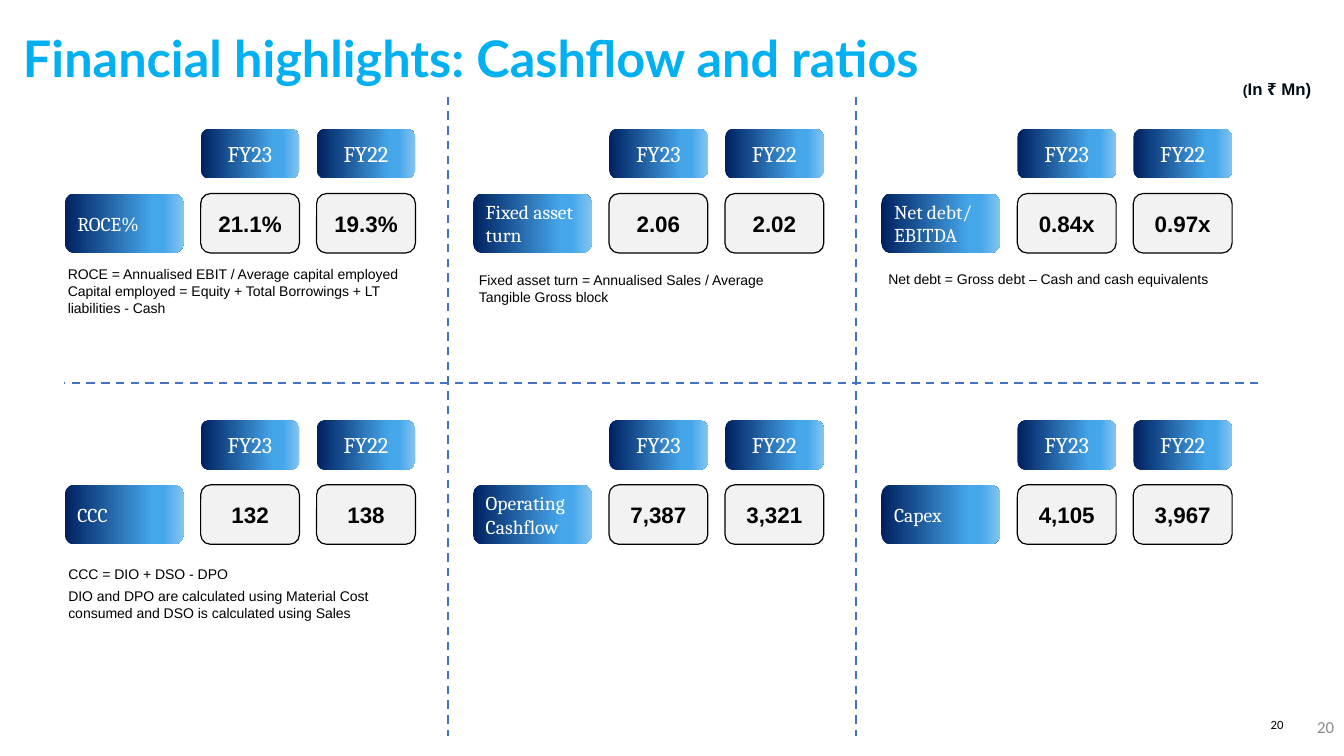
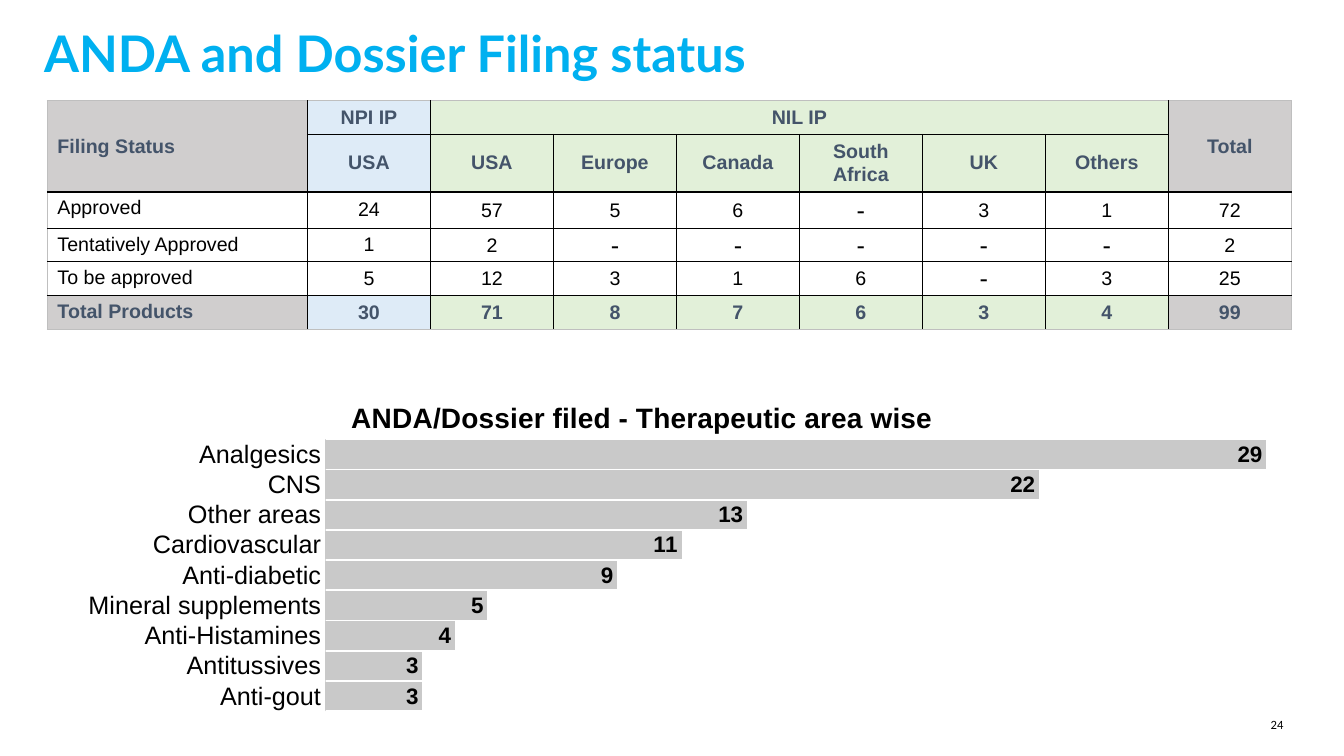
from lxml import etree
from pptx import Presentation
from pptx.chart.data import CategoryChartData
from pptx.dml.color import RGBColor
from pptx.enum.chart import XL_CHART_TYPE as CHART, XL_LABEL_POSITION as LABEL
from pptx.enum.chart import XL_TICK_LABEL_POSITION as TICK_LABEL, XL_TICK_MARK as TICK
from pptx.enum.dml import MSO_LINE
from pptx.enum.shapes import MSO_CONNECTOR, MSO_SHAPE
from pptx.enum.text import MSO_ANCHOR as ANCHOR, PP_ALIGN as ALIGN
from pptx.oxml import parse_xml
from pptx.oxml.ns import nsdecls, qn
from pptx.util import Inches, Pt

COLORS = {
    "title": "00B0F0", "black": "000000", "white": "FFFFFF", "unit": "000B14",
    "page": "8C8C8C", "value": "F2F2F2", "divider": "4472C4", "header": "44546A",
    "total": "D0CECE", "first": "DEEBF7", "second": "E2F0D9",
    "edge": "BFBFBF", "bar": "C9C9C9", "axis": "D9D9D9",
}
STOPS = [(0, "002060"), (74, "45A6EA"), (83, "45A6EA"), (100, "83C4F1")]
TITLE = {"name": "Lato", "size": Pt(36), "bold": True, "color": "title"}
PAGE = {"name": "Calibri", "size": Pt(9), "color": "black"}
YEAR = {"name": "Cambria", "size": Pt(16), "color": "white"}
LABEL_FONT = {**YEAR, "size": Pt(14)}
VALUE = {"name": "Arial", "size": Pt(16), "bold": True, "color": "black"}
NOTE = {"name": "Arial", "size": Pt(10), "color": "black"}
UNIT = {"name": "Arial", "size": Pt(10), "bold": True, "color": "unit"}
HEADER = {"name": "Arial", "size": Pt(14), "bold": True, "color": "header"}
BODY = {**HEADER, "bold": False, "color": "black"}
CENTER = {"alignment": ALIGN.CENTER}
RIGHT = {"alignment": ALIGN.RIGHT}
FLUSH = dict.fromkeys(("margin_left", "margin_top", "margin_right", "margin_bottom"), 0)


def set_font(font, formats):
    for key, value in formats.items():
        if key == "color":
            font.color.rgb = RGBColor.from_string(COLORS[value])
        else:
            setattr(font, key, value)


def add_box(slide, place, lines, font, paragraph_format=None, frame_format=None, fill=None):
    place = [Inches(length) for length in place]
    if fill is None:
        box = slide.shapes.add_textbox(*place)
    else:
        box = slide.shapes.add_shape(MSO_SHAPE.ROUNDED_RECTANGLE, *place)
        box.shadow.inherit = False
        box.line.fill.background()
        if fill == "gradient":
            box.fill.gradient()
            box.fill.gradient_angle = 0
            stops = box._element.spPr.find(".//" + qn("a:gsLst"))
            for stop in list(stops):
                stops.remove(stop)
            for position, color in STOPS:
                stop = etree.SubElement(stops, qn("a:gs"), pos=str(position * 1000))
                etree.SubElement(stop, qn("a:srgbClr"), val=color)
        elif fill == "none":
            box.fill.background()
        else:
            box.fill.solid()
            box.fill.fore_color.rgb = RGBColor.from_string(COLORS[fill])
            box.line.color.rgb = RGBColor.from_string(COLORS["black"])
            box.line.width = Pt(0.85)
    frame = box.text_frame
    frame.word_wrap = True
    for key, value in (frame_format or {}).items():
        setattr(frame, key, value)
    for index, line in enumerate(lines):
        paragraph = frame.add_paragraph() if index else frame.paragraphs[0]
        for key, value in {"alignment": ALIGN.LEFT, **(paragraph_format or {})}.items():
            setattr(paragraph, key, value)
        if index:
            paragraph.space_before = Pt(2)
        run = paragraph.add_run()
        run.text = line
        set_font(run.font, font)
    return box


deck = Presentation()
deck.slide_width, deck.slide_height = Inches(13.33), Inches(7.5)
pages = [
    ("Financial highlights: Cashflow and ratios", (0.13, 0.22, 12.17, 0.71), 1.0, "20"),
    ("ANDA and Dossier Filing status", (0.34, 0.29, 11.8, 0.6), 0.8, "24"),
]
for title, place, spacing, number in pages:
    slide = deck.slides.add_slide(deck.slide_layouts[6])
    add_box(slide, place, [title], TITLE, {"line_spacing": spacing})
    add_box(slide, (12.37, 7.11, 0.36, 0.15), [number], PAGE, RIGHT,
            {**FLUSH, "vertical_anchor": ANCHOR.BOTTOM})
highlights, filings = deck.slides

MIDDLE = {"vertical_anchor": ANCHOR.MIDDLE}
add_box(highlights, (10.33, 7.01, 3, 0.4), ["20"],
        {**PAGE, "size": Pt(12), "color": "page"}, RIGHT, MIDDLE)
unit = add_box(highlights, (12.23, 0.73, 1.07, 0.3), ["("], UNIT)
currency = unit.text_frame.paragraphs[0].add_run()
currency.text = "In ₹ Mn)"
set_font(currency.font, {**UNIT, "size": Pt(12)})

ratios = [
    ("ROCE%", "21.1%", "19.3%"),
    ("Fixed asset turn", "2.06", "2.02"),
    ("Net debt/ EBITDA", "0.84x", "0.97x"),
    ("CCC", "132", "138"),
    ("Operating Cashflow", "7,387", "3,321"),
    ("Capex", "4,105", "3,967"),
]
for index, (label, *values) in enumerate(ratios):
    row, column = divmod(index, 3)
    left, top = 0.64 + 4.05 * column, 1.28 + 2.89 * row
    add_box(highlights, (left, top + 0.64, 1.18, 0.59), [label], LABEL_FONT,
            None, MIDDLE, "gradient")
    for offset, year, value in zip((1.35, 2.5), ("FY23", "FY22"), values):
        add_box(highlights, (left + offset, top, 0.98, 0.49), [year], YEAR,
                CENTER, MIDDLE, "gradient")
        add_box(highlights, (left + offset, top + 0.64, 0.98, 0.59), [value], VALUE,
                CENTER, MIDDLE, "value")

notes = [
    (0.55, 2.64, 0.49, ["ROCE = Annualised EBIT / Average capital employed Capital employed "
                        "= Equity + Total Borrowings + LT liabilities - Cash"]),
    (4.63, 2.64, 0.44, ["Fixed asset turn = Annualised Sales / Average Tangible Gross block"]),
    (8.69, 2.55, 0.44, ["Net debt = Gross debt – Cash and cash equivalents"]),
    (0.55, 5.59, 0.59, ["CCC = DIO + DSO - DPO",
                        "DIO and DPO are calculated using Material Cost consumed "
                        "and DSO is calculated using Sales"]),
]
for left, top, height, lines in notes:
    add_box(highlights, (left, top, 3.61, height), lines, NOTE,
            {"space_after": Pt(2)}, MIDDLE, "none")

for ends in [(4.44, 0.96, 4.44, 7.3), (8.49, 0.96, 8.49, 7.3), (12.48, 3.8, 0.63, 3.8)]:
    divider = highlights.shapes.add_connector(
        MSO_CONNECTOR.STRAIGHT, *[Inches(length) for length in ends])
    divider.line.color.rgb = RGBColor.from_string(COLORS["divider"])
    divider.line.width = Pt(1.5)
    divider.line.dash_style = MSO_LINE.DASH
    etree.SubElement(divider._element.spPr, qn("a:effectLst"))

filing_rows = [
    ["Filing Status", "NPI IP", "NIL IP", "", "", "", "", "", "Total"],
    ["", "USA", "USA", "Europe", "Canada", "South Africa", "UK", "Others", ""],
    ["Approved", "24", "57", "5", "6", "-", "3", "1", "72"],
    ["Tentatively Approved", "1", "2", "-", "-", "-", "-", "-", "2"],
    ["To be approved", "5", "12", "3", "1", "6", "-", "3", "25"],
    ["Total Products", "30", "71", "8", "7", "6", "3", "4", "99"],
]
row_heights = [0.33, 0.57, 0.36, 0.33, 0.33, 0.33]
column_fills = ["total", "first"] + ["second"] * 6 + ["total"]
status = filings.shapes.add_table(
    6, 9, Inches(0.47), Inches(1), Inches(12.33), Inches(2.25)).table
status.first_row = status.horz_banding = False
for index, column in enumerate(status.columns):
    column.width = Inches(1.22 if index else 2.58)
for row, height in zip(status.rows, row_heights):
    row.height = Inches(height)
for first, last in [((0, 0), (1, 0)), ((0, 2), (0, 7)), ((0, 8), (1, 8))]:
    status.cell(*first).merge(status.cell(*last))

for r, texts in enumerate(filing_rows):
    is_body = r in (2, 3, 4)
    for c, text in enumerate(texts):
        cell = status.cell(r, c)
        properties = cell._tc.get_or_add_tcPr()
        for side, position, outer, strong in [
            ("lnL", c, 0, (2,)), ("lnR", c + 1, 9, (2,)),
            ("lnT", r, 0, (2, 5)), ("lnB", r + 1, 6, (2, 5)),
        ]:
            color = COLORS["edge" if position == outer else "black"]
            width = Pt(1.5 if position in strong else 1)
            properties.append(parse_xml(
                f'<a:{side} {nsdecls("a")} w="{width}"><a:solidFill>'
                f'<a:srgbClr val="{color}"/></a:solidFill></a:{side}>'))
        if is_body:
            cell.fill.background()
        else:
            cell.fill.solid()
            cell.fill.fore_color.rgb = RGBColor.from_string(COLORS[column_fills[c]])
        cell.vertical_anchor = ANCHOR.TOP if c == 0 and r > 1 else ANCHOR.MIDDLE
        if r > 1 and c > 1:
            cell.margin_left = cell.margin_top = cell.margin_right = Inches(0.01)
            cell.margin_bottom = 0
        if text:
            paragraph = cell.text_frame.paragraphs[0]
            paragraph.alignment = ALIGN.CENTER if c else ALIGN.LEFT
            run = paragraph.add_run()
            run.text = text
            set_font(run.font, BODY if is_body else HEADER)
            if text == "-":
                run.font.size = Pt(18)

areas = {
    "Anti-gout": 3, "Antitussives": 3, "Anti-Histamines": 4, "Mineral supplements": 5,
    "Anti-diabetic": 9, "Cardiovascular": 11, "Other areas": 13, "CNS": 22, "Analgesics": 29,
}
area_data = CategoryChartData()
area_data.categories = list(areas)
area_data.add_series("Series 1", list(areas.values()))
area_chart = filings.shapes.add_chart(
    CHART.BAR_CLUSTERED, Inches(-0.24), Inches(3.74), Inches(13.12), Inches(3.47),
    area_data).chart
set_font(area_chart.font, BODY)
area_chart.has_legend = False
area_chart.has_title = True
heading = area_chart.chart_title.text_frame.paragraphs[0].add_run()
heading.text = "ANDA/Dossier filed - Therapeutic area wise"
set_font(heading.font, {**VALUE, "size": Pt(20)})

category_axis, value_axis = area_chart.category_axis, area_chart.value_axis
for axis in (category_axis, value_axis):
    axis.major_tick_mark = axis.minor_tick_mark = TICK.NONE
    axis.has_major_gridlines = False
set_font(category_axis.tick_labels.font, {**BODY, "size": Pt(18)})
category_axis.format.line.color.rgb = RGBColor.from_string(COLORS["axis"])
category_axis.format.line.width = Pt(0.75)
value_axis.minimum_scale, value_axis.maximum_scale = 0, 30
value_axis.tick_label_position = TICK_LABEL.NONE
value_axis.format.line.fill.background()

plot = area_chart.plots[0]
plot.gap_width = 6
plot.vary_by_categories = False
bars = plot.series[0].format.fill
bars.solid()
bars.fore_color.rgb = RGBColor.from_string(COLORS["bar"])
plot.has_data_labels = True
plot.data_labels.show_value = True
plot.data_labels.position = LABEL.INSIDE_END
set_font(plot.data_labels.font, VALUE)

title_part = area_chart.chart_title._element
plot_part = area_chart._chartSpace.chart.plotArea
layouts = [
    (title_part, 1, {"xMode": "edge", "yMode": "edge", "x": 0.28, "y": 0.05}),
    (plot_part, 0, {"layoutTarget": "inner", "xMode": "edge", "yMode": "edge",
                    "x": 0.264, "y": 0.178, "w": 0.736, "h": 0.778}),
]
for part, position, settings in layouts:
    for old in part.findall(qn("c:layout")):
        part.remove(old)
    layout = parse_xml(f'<c:layout {nsdecls("c")}><c:manualLayout/></c:layout>')
    for key, value in settings.items():
        etree.SubElement(layout[0], qn("c:" + key), val=str(value))
    part.insert(position, layout)

deck.save("out.pptx")
